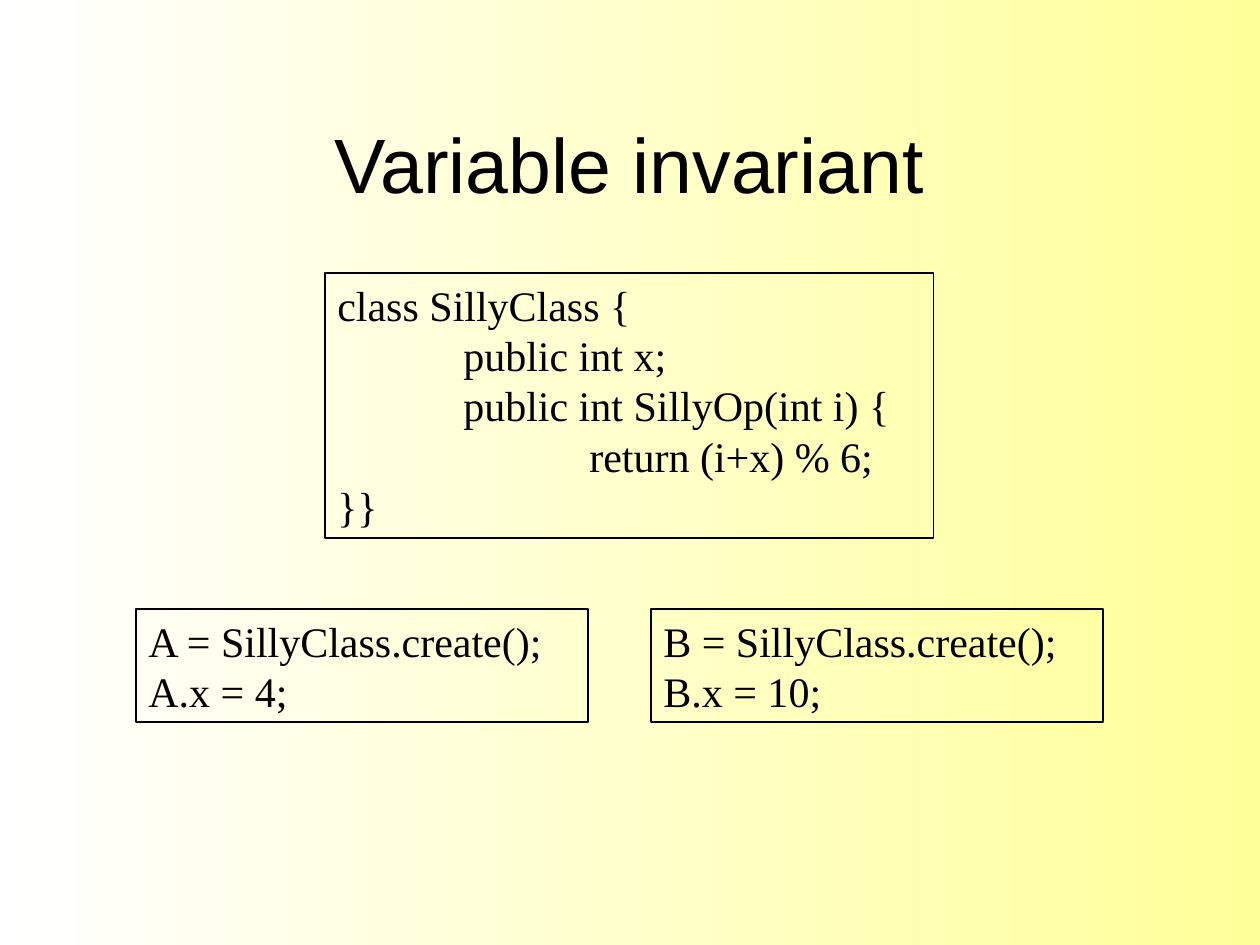
import pptx
import pptx.util
import pptx.dml.color
import pptx.enum.shapes
import pptx.enum.text
import lxml.etree

PX = 914400 // 126
THEME = {
    "ink": pptx.dml.color.RGBColor(0, 0, 0),
    "gradient": [pptx.dml.color.RGBColor(255, 255, 153),
                 pptx.dml.color.RGBColor(255, 255, 255)],
    "title_font": "Arial",
    "title_size": pptx.util.Pt(44),
    "code_font": "Times New Roman",
    "code_size": pptx.util.Pt(24),
    "line_width": pptx.util.Pt(0.75),
}
TAB_STEP = 126
BOXES = [
    (325, 273, 609, 265, [
        "class SillyClass {",
        "\tpublic int x;",
        "\tpublic int SillyOp(int i) {",
        "\t\treturn (i+x) % 6;",
        "}}",
    ]),
    (136, 609, 452, 113, ["A = SillyClass.create();", "A.x = 4;"]),
    (651, 609, 452, 113, ["B = SillyClass.create();", "B.x = 10;"]),
]


def style_run(run, role):
    run.font.name = THEME[role + "_font"]
    run.font.size = THEME[role + "_size"]
    run.font.color.rgb = THEME["ink"]


def add_tab_stops(paragraph, count):
    properties = paragraph._p.get_or_add_pPr()
    tab_list = lxml.etree.SubElement(properties, pptx.oxml.ns.qn("a:tabLst"))
    for number in range(1, count + 1):
        lxml.etree.SubElement(tab_list, pptx.oxml.ns.qn("a:tab"),
                              pos=str(number * TAB_STEP * PX), algn="l")


presentation = pptx.Presentation()
presentation.slide_width = pptx.util.Inches(10)
presentation.slide_height = pptx.util.Inches(7.5)
slide = presentation.slides.add_slide(presentation.slide_layouts[5])

background = slide.background.fill
background.gradient()
background.gradient_angle = 180
for stop, color in zip(background.gradient_stops, THEME["gradient"]):
    stop.color.rgb = color

title = slide.shapes.title
title.left, title.top, title.width, title.height = (
    length * PX for length in (94, 84, 1071, 158))
title.text_frame.vertical_anchor = pptx.enum.text.MSO_ANCHOR.MIDDLE
paragraph = title.text_frame.paragraphs[0]
paragraph.alignment = pptx.enum.text.PP_ALIGN.CENTER
run = paragraph.add_run()
run.text = "Variable invariant"
style_run(run, "title")

for left, top, width, height, code_lines in BOXES:
    box = slide.shapes.add_shape(
        pptx.enum.shapes.MSO_SHAPE.RECTANGLE,
        left * PX, top * PX, width * PX, height * PX)
    box.shadow.inherit = False
    box.fill.background()
    box.line.color.rgb = THEME["ink"]
    box.line.width = THEME["line_width"]
    frame = box.text_frame
    frame.word_wrap = True
    frame.vertical_anchor = pptx.enum.text.MSO_ANCHOR.TOP
    paragraph = frame.paragraphs[0]
    paragraph.alignment = pptx.enum.text.PP_ALIGN.LEFT
    add_tab_stops(paragraph, 2)
    for index, code_line in enumerate(code_lines):
        if index:
            paragraph.add_line_break()
        run = paragraph.add_run()
        run.text = code_line
        style_run(run, "code")

presentation.save("out.pptx")
